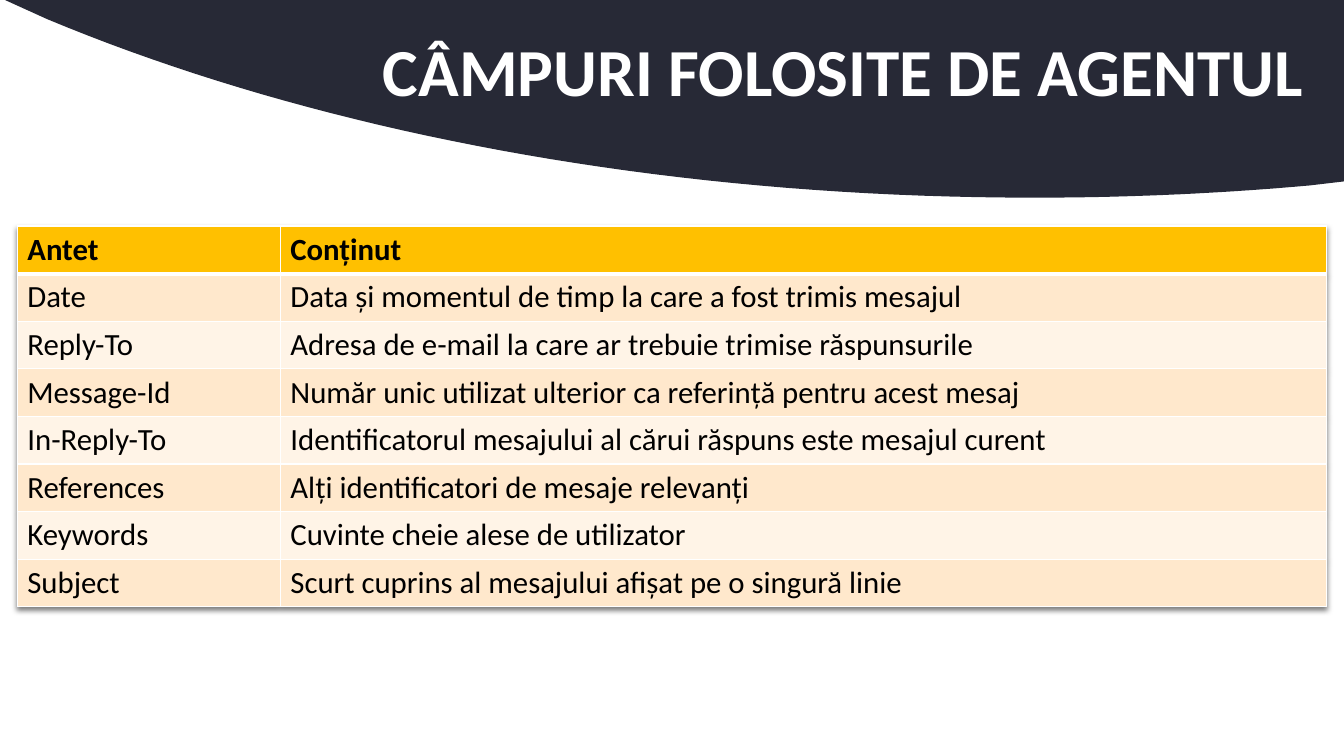
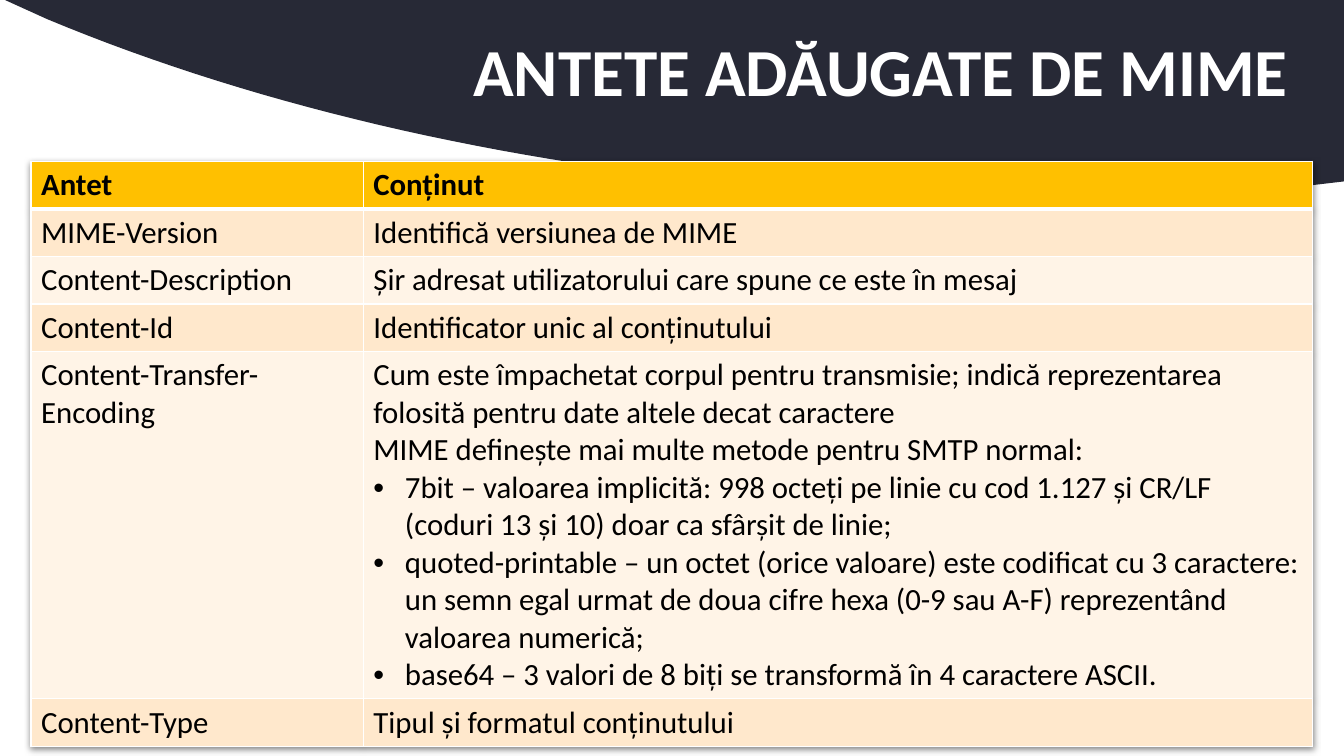
from dataclasses import dataclass

from lxml import etree
from pptx import Presentation
from pptx.dml.color import RGBColor
from pptx.enum.text import MSO_ANCHOR, PP_ALIGN
from pptx.oxml import parse_xml
from pptx.oxml.ns import qn
from pptx.util import Pt

RIGHT = PP_ALIGN.RIGHT
MIDDLE = MSO_ANCHOR.MIDDLE
FONT = "Calibri"
WIDE, HIGH = 960, 540
LINE = 34
DRAW = "http://schemas.openxmlformats.org/drawingml/2006/main"
HUES = {
    "band": "272936",
    "white": "FFFFFF",
    "ink": "000000",
    "head": "FFC000",
    "odd": "FFE8CC",
    "even": "FFF4E7",
}
CURVES = (
    ((935.3, 132.5), (871.2, 138.2), (805.7, 141.2), (738.7, 141.2)),
    ((738.7, 141.2), (470.9, 141.2), (225.4, 93.6), (33.8, 13.7)),
)


@dataclass(frozen=True)
class Row:
    name: str
    lines: tuple[str, ...]
    bullets: tuple[str, ...] = ()
    height: float = LINE


@dataclass(frozen=True)
class Page:
    title: str
    left: float
    top: float
    cols: tuple[float, float]
    rows: tuple[Row, ...]


HEAD = Row("Antet", ("Conținut",))
PAGES = (
    Page("CÂMPURI FOLOSITE DE AGENTUL", 12.4, 161.5, (187.9, 747.5), (
        HEAD,
        Row("Date", ("Data și momentul de timp la care a fost trimis mesajul",)),
        Row("Reply-To", ("Adresa de e-mail la care ar trebuie trimise răspunsurile",)),
        Row("Message-Id", ("Număr unic utilizat ulterior ca referință pentru acest mesaj",)),
        Row("In-Reply-To", ("Identificatorul mesajului al cărui răspuns este mesajul curent",)),
        Row("References", ("Alți identificatori de mesaje relevanți",)),
        Row("Keywords", ("Cuvinte cheie alese de utilizator",)),
        Row("Subject", ("Scurt cuprins al mesajului afișat pe o singură linie",)),
    )),
    Page("ANTETE ADĂUGATE DE MIME ", 22.2, 115.2, (237.4, 678.2), (
        HEAD,
        Row("MIME-Version", ("Identifică versiunea de MIME",)),
        Row("Content-Description", ("Șir adresat utilizatorului care spune ce este în mesaj",)),
        Row("Content-Id", ("Identificator unic al conținutului",)),
        Row(
            "Content-Transfer-Encoding",
            (
                "Cum este împachetat corpul pentru transmisie; indică reprezentarea "
                "folosită pentru date altele decat caractere",
                "MIME definește mai multe metode pentru SMTP normal:",
            ),
            (
                "7bit – valoarea implicită: 998 octeți pe linie cu cod 1.127 și CR/LF "
                "(coduri 13 și 10) doar ca sfârșit de linie;",
                "quoted-printable – un octet (orice valoare) este codificat cu 3 caractere: "
                "un semn egal urmat de doua cifre hexa (0-9 sau A-F) reprezentând "
                "valoarea numerică;",
                "base64 – 3 valori de 8 biți se transformă în 4 caractere ASCII.",
            ),
            248,
        ),
        Row("Content-Type", ("Tipul și formatul conținutului",)),
    )),
)


def paint(fill, hue: str) -> None:
    fill.solid()
    fill.fore_color.rgb = RGBColor.from_string(HUES[hue])


def write(para, text: str, size: float, hue: str, bold: bool) -> None:
    run = para.add_run()
    run.text = text
    run.font.name = FONT
    run.font.size = Pt(size)
    run.font.bold = bold
    run.font.color.rgb = RGBColor.from_string(HUES[hue])


def trace(curve, steps: int = 40) -> list[tuple[float, float]]:
    a, b, c, d = curve
    dots = []
    for step in range(steps + 1):
        t = step / steps
        u = 1 - t
        dots.append(tuple(
            u**3 * a[i] + 3 * u * u * t * b[i] + 3 * u * t * t * c[i] + t**3 * d[i]
            for i in (0, 1)
        ))
    return dots


def add_band(slide) -> None:
    dots = [(WIDE, 0), (WIDE, 129.6)]
    for curve in CURVES:
        dots += trace(curve)
    pen = slide.shapes.build_freeform(Pt(3.6), 0)
    pen.add_line_segments([(Pt(x), Pt(y)) for x, y in dots], close=True)
    band = pen.convert_to_shape()
    band.shadow.inherit = False
    paint(band.fill, "band")
    band.line.fill.background()


def add_title(slide, text: str) -> None:
    box = slide.shapes.add_textbox(Pt(66), Pt(1.4), Pt(894), Pt(104.4))
    frame = box.text_frame
    frame.word_wrap = True
    frame.vertical_anchor = MIDDLE
    frame.margin_right = Pt(28.8)
    para = frame.paragraphs[0]
    para.alignment = RIGHT
    para.line_spacing = 0.9
    write(para, text, 48, "white", True)


def add_edges(cell, top: float, base: float) -> None:
    props = cell._tc.get_or_add_tcPr()
    for tag, width in (("lnL", 1), ("lnR", 1), ("lnT", top), ("lnB", base)):
        edge = etree.SubElement(props, qn(f"a:{tag}"), w=str(Pt(width)))
        solid = etree.SubElement(edge, qn("a:solidFill"))
        etree.SubElement(solid, qn("a:srgbClr"), val=HUES["white"])


def add_bullet(para) -> None:
    props = para._p.get_or_add_pPr()
    props.set("marL", str(Pt(22.5)))
    props.set("indent", str(Pt(-22.5)))
    etree.SubElement(props, qn("a:buFont"), typeface="Arial")
    etree.SubElement(props, qn("a:buChar"), char="•")


def fill_cell(cell, lines: tuple[str, ...], bullets: tuple[str, ...], index: int) -> None:
    first = index == 0
    add_edges(cell, 3 if index == 1 else 1, 3 if first else 1)
    paint(cell.fill, "head" if first else "odd" if index % 2 else "even")
    frame = cell.text_frame
    for spot, text in enumerate(lines + bullets):
        para = frame.add_paragraph() if spot else frame.paragraphs[0]
        if spot >= len(lines):
            add_bullet(para)
        write(para, text, 22, "ink", first)


def add_shade(table) -> None:
    table._tbl.tblPr.insert(0, parse_xml(
        f'<a:effectLst xmlns:a="{DRAW}"><a:outerShdw blurRad="{Pt(4)}" '
        f'dist="{Pt(2)}" dir="5400000" rotWithShape="0">'
        f'<a:srgbClr val="{HUES["ink"]}"><a:alpha val="50000"/></a:srgbClr>'
        '</a:outerShdw></a:effectLst>'
    ))


def add_grid(slide, page: Page) -> None:
    high = sum(row.height for row in page.rows)
    table = slide.shapes.add_table(
        len(page.rows), len(page.cols),
        Pt(page.left), Pt(page.top), Pt(sum(page.cols)), Pt(high),
    ).table
    add_shade(table)
    for col, width in zip(table.columns, page.cols):
        col.width = Pt(width)
    for index, row in enumerate(page.rows):
        table.rows[index].height = Pt(row.height)
        fill_cell(table.cell(index, 0), (row.name,), (), index)
        fill_cell(table.cell(index, 1), row.lines, row.bullets, index)


def main() -> None:
    deck = Presentation()
    deck.slide_width = Pt(WIDE)
    deck.slide_height = Pt(HIGH)
    for page in PAGES:
        slide = deck.slides.add_slide(deck.slide_layouts[6])
        add_band(slide)
        add_title(slide, page.title)
        add_grid(slide, page)
    deck.save("out.pptx")


if __name__ == "__main__":
    main()
